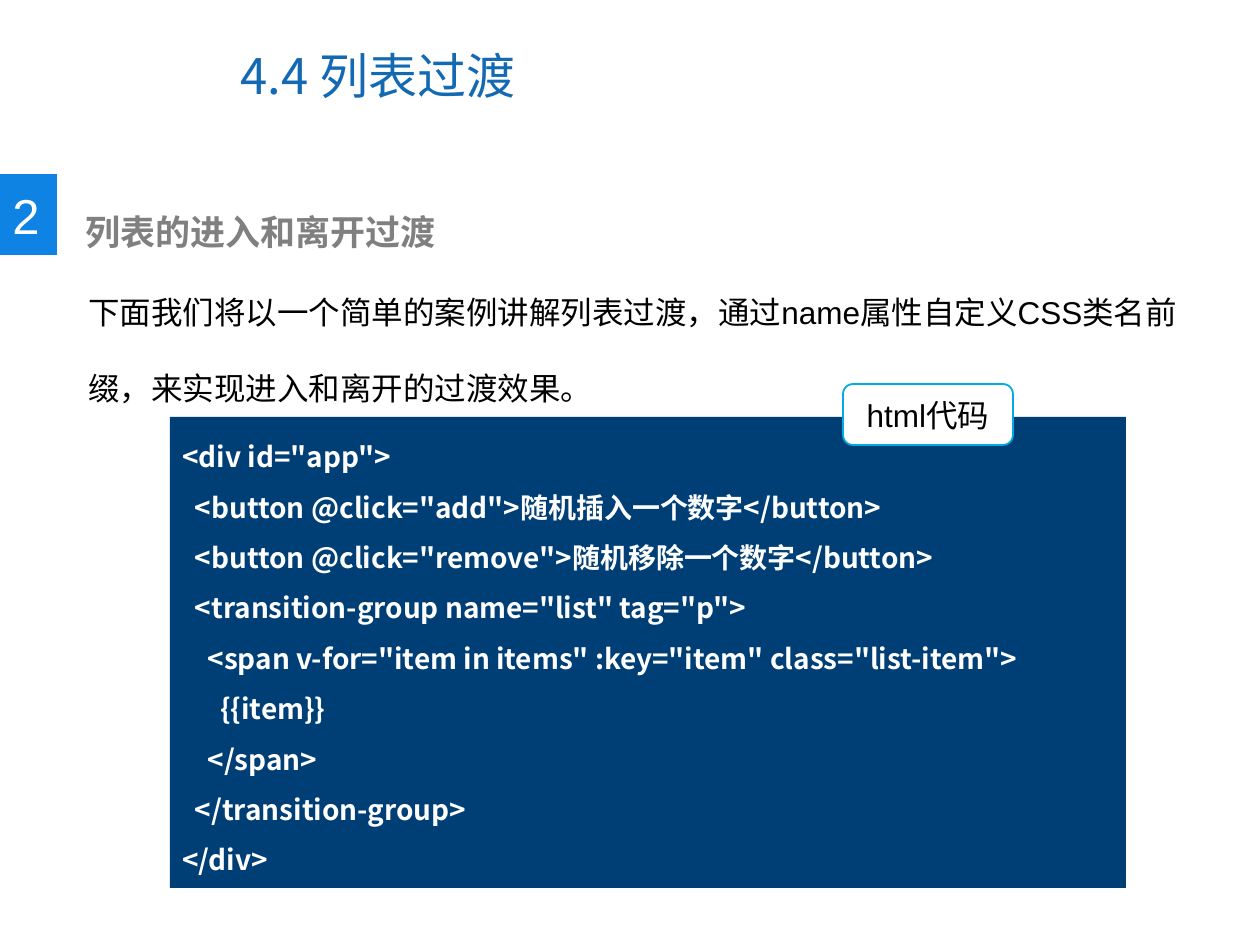
"""Build the slide on list transitions with its code panel."""
import pptx
import pptx.dml.color
import pptx.enum.shapes
import pptx.enum.text
import pptx.oxml.ns
import pptx.util
from lxml import etree

PX = 914400 / 126
SHAPE = pptx.enum.shapes.MSO_SHAPE
ANCHOR = pptx.enum.text.MSO_ANCHOR
ALIGN = pptx.enum.text.PP_ALIGN
CJK = "Noto Sans CJK SC"


def rgb(value):
    return pptx.dml.color.RGBColor.from_string(value)


def add_box(box, lines, size, color, font="Arial", bold=False, spacing=1.0,
            kind=None, fill=None, line=None, anchor=ANCHOR.TOP, align=ALIGN.LEFT):
    left, top, width, height = (round(v * PX) for v in box)
    if kind is None:
        sp = s.shapes.add_textbox(left, top, width, height)
    else:
        sp = s.shapes.add_shape(kind, left, top, width, height)
        sp.shadow.inherit = False
        sp.fill.solid()
        sp.fill.fore_color.rgb = rgb(fill)
        if line:
            sp.line.color.rgb = rgb(line)
            sp.line.width = pptx.util.Pt(1)
        else:
            sp.line.fill.background()
    tf = sp.text_frame
    tf.word_wrap = True
    tf.vertical_anchor = anchor
    for i, text in enumerate(lines):
        p = tf.add_paragraph() if i else tf.paragraphs[0]
        p.text = text
        p.alignment = align
        p.line_spacing = spacing
        p.font.size = pptx.util.Pt(size)
        p.font.bold = bold
        p.font.color.rgb = rgb(color)
        p.font.name = font
        props = p._p.pPr.find(pptx.oxml.ns.qn("a:defRPr"))
        etree.SubElement(props, pptx.oxml.ns.qn("a:ea"), typeface=CJK)
    return sp


prs = pptx.Presentation()
prs.slide_width = pptx.util.Inches(10)
prs.slide_height = pptx.util.Inches(7.5)
s = prs.slides.add_slide(prs.slide_layouts[6])

code = [
    '<div id="app">',
    '  <button @click="add">随机插入一个数字</button>',
    '  <button @click="remove">随机移除一个数字</button>',
    '  <transition-group name="list" tag="p">',
    '    <span v-for="item in items" :key="item" class="list-item">',
    '      {{item}}',
    '    </span>',
    '  </transition-group>',
    '</div>',
]

add_box((228, 21, 650, 107), ["4.4 列表过渡"], 28, "1369B2", CJK, anchor=ANCHOR.MIDDLE)
add_box((0, 174, 57, 81), [], 28, "FFFFFF", kind=SHAPE.RECTANGLE, fill="0F83E3")
add_box((0, 179, 53, 72), ["2"], 28, "FFFFFF")
add_box((73, 204, 634, 55), ["列表的进入和离开过渡"], 20, "808080", bold=True)
add_box((76, 249, 1143, 165),
        ["下面我们将以一个简单的案例讲解列表过渡，通过name属性自定义CSS类名前缀，来实现进入和离开的过渡效果。"],
        18, "000000", spacing=2.0)
add_box((170, 417, 956, 471), code, 16, "FFFFFF", CJK, bold=True, spacing=1.5,
        kind=SHAPE.RECTANGLE, fill="003F75")
add_box((843, 384, 170, 61), ["html代码"], 18, "000000", kind=SHAPE.ROUNDED_RECTANGLE,
        fill="FFFFFF", line="00ACE6", anchor=ANCHOR.MIDDLE, align=ALIGN.CENTER)

prs.save("out.pptx")
